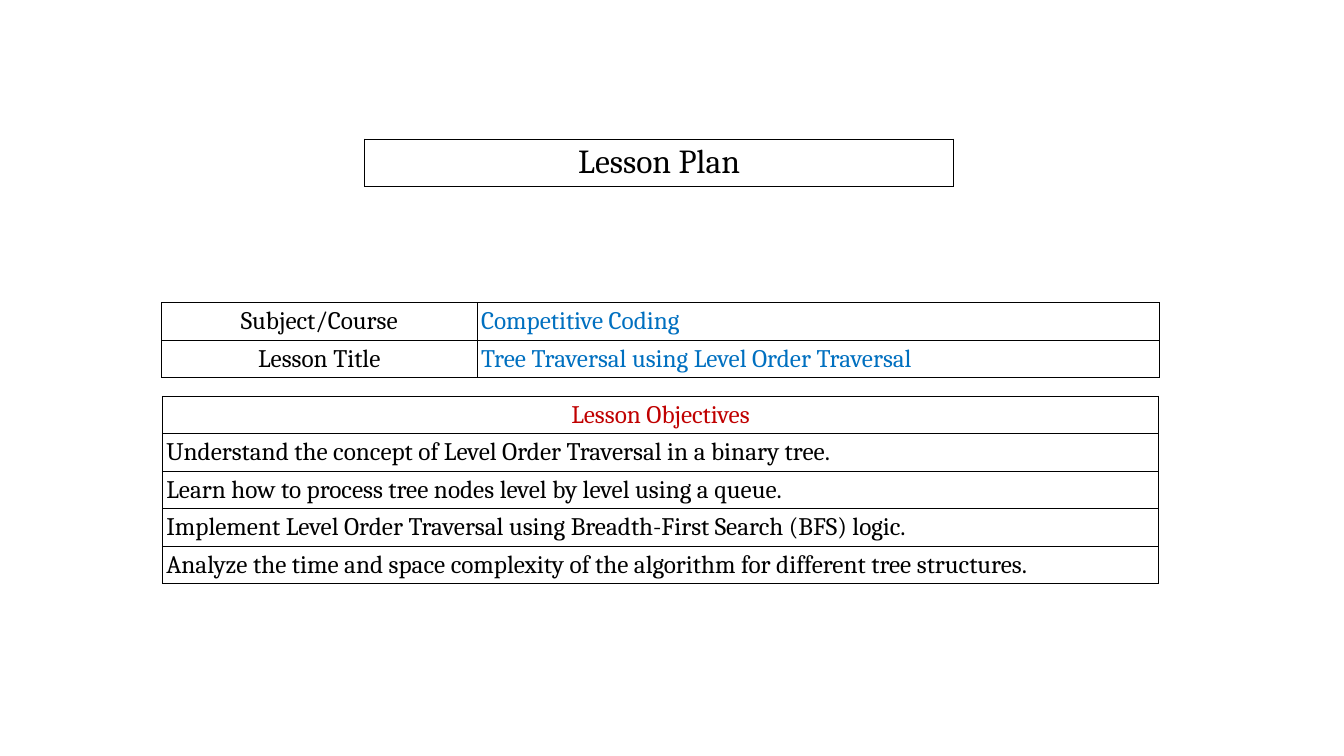
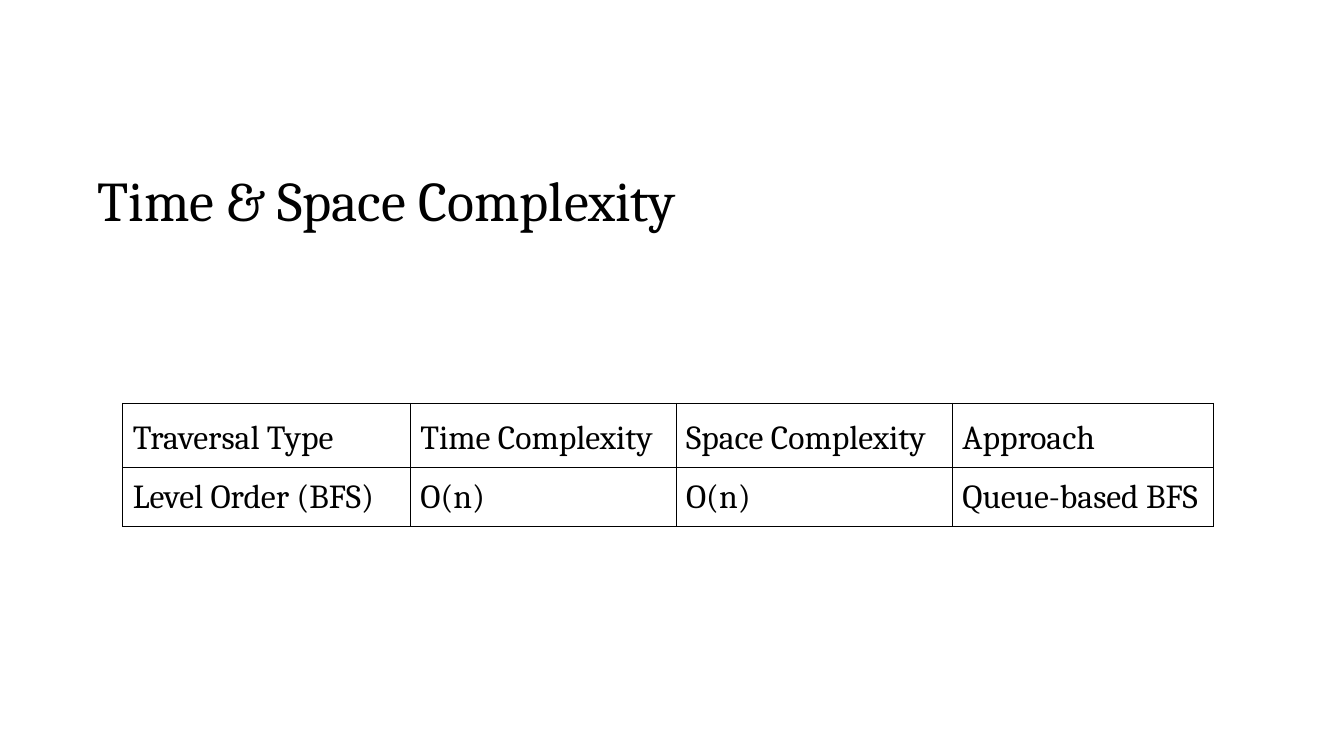
from lxml import etree
from pptx import Presentation
from pptx.dml.color import RGBColor
from pptx.enum.text import MSO_ANCHOR, MSO_AUTO_SIZE, PP_ALIGN
from pptx.oxml.ns import qn
from pptx.util import Pt

LEFT, CENTER = PP_ALIGN.LEFT, PP_ALIGN.CENTER
TOP, MIDDLE = MSO_ANCHOR.TOP, MSO_ANCHOR.MIDDLE
NO_AUTOFIT = MSO_AUTO_SIZE.NONE
TITLE_ONLY, BLANK = 5, 6
FONT = "Cambria"
FRAME_SIDE = 236.2
COLORS = {"text": "000000", "paper": "FFFFFF", "value": "0070C0", "heading": "C00000"}
OBJECTIVES = [
    "Understand the concept of Level Order Traversal in a binary tree.",
    "Learn how to process tree nodes level by level using a queue.",
    "Implement Level Order Traversal using Breadth-First Search (BFS) logic.",
    "Analyze the time and space complexity of the algorithm for different tree structures.",
]


def write(frame, text, size=18, color="text", align=LEFT, spacing=1.0):
    """Put one formatted paragraph into a text frame."""
    paragraph = frame.paragraphs[0]
    paragraph.alignment = align
    paragraph.line_spacing = spacing
    run = paragraph.add_run()
    run.text = text
    run.font.name = FONT
    run.font.size = Pt(size)
    run.font.bold = False
    run.font.color.rgb = RGBColor.from_string(COLORS[color])


def set_insets(target, inset):
    """Give a cell or text frame the same margin on all sides."""
    target.margin_left = target.margin_right = Pt(inset)
    target.margin_top = target.margin_bottom = Pt(inset)


def add_borders(cell):
    """Draw a thin line on every side of a cell."""
    properties = cell._tc.get_or_add_tcPr()
    for side in ("a:lnL", "a:lnR", "a:lnT", "a:lnB"):
        line = etree.SubElement(properties, qn(side), w=str(Pt(0.75)))
        fill = etree.SubElement(line, qn("a:solidFill"))
        etree.SubElement(fill, qn("a:srgbClr"), val=COLORS["text"])


def add_grid(slide, left, top, widths, heights, rows, inset=2.9, anchor=MIDDLE):
    """Add a ruled table whose rows hold (text, format) pairs."""
    holder = slide.shapes.add_table(
        len(heights), len(widths), Pt(left), Pt(top), Pt(FRAME_SIDE), Pt(FRAME_SIDE)
    )
    table = holder.table
    table.first_row = table.horz_banding = False
    for column, width in zip(table.columns, widths):
        column.width = Pt(width)
    for row, height, entries in zip(table.rows, heights, rows):
        row.height = Pt(height)
        for cell, (text, style) in zip(row.cells, entries):
            set_insets(cell, inset)
            cell.vertical_anchor = anchor
            add_borders(cell)
            cell.fill.solid()
            cell.fill.fore_color.rgb = RGBColor.from_string(COLORS["paper"])
            write(cell.text_frame, text, **style)
    holder.width = holder.height = Pt(FRAME_SIDE)


def add_title(slide, text):
    """Place and fill the title placeholder."""
    title = slide.shapes.title
    title.left, title.top, title.width, title.height = Pt(66), Pt(93), Pt(828), Pt(104.4)
    frame = title.text_frame
    frame.word_wrap = True
    frame.auto_size = NO_AUTOFIT
    frame.vertical_anchor = MIDDLE
    set_insets(frame, 3.6)
    write(frame, text, size=40, spacing=0.9)


def build_lesson_plan(slide):
    """Build the lesson plan with its subject and objectives."""
    label, value = {"align": CENTER}, {"color": "value"}
    add_grid(slide, 260.6, 99.4, [420.5], [33.5],
             [[("Lesson Plan", {"size": 24, "align": CENTER})]])
    add_grid(slide, 115.4, 216.1, [225.3, 487.4], [26.9] * 2, [
        [("Subject/Course", label), ("Competitive Coding", value)],
        [("Lesson Title", label), ("Tree Traversal using Level Order Traversal", value)],
    ])
    heading = ("Lesson Objectives", {"color": "heading", "align": CENTER})
    rows = [[heading]] + [[(objective, {})] for objective in OBJECTIVES]
    add_grid(slide, 115.9, 283, [711.8], [26.8] * len(rows), rows)


def build_complexity(slide):
    """Build the complexity slide."""
    add_title(slide, "Time & Space Complexity")
    headers = ["Traversal Type", "Time Complexity", "Space Complexity", "Approach"]
    values = ["Level Order (BFS)", "O(n)", "O(n)", "Queue-based BFS"]
    rows = [
        [(text, {"size": 24, "spacing": spacing}) for text in texts]
        for texts, spacing in ((headers, 1.15), (values, 1.0))
    ]
    add_grid(slide, 87.7, 288, [205.4, 189.8, 197.4, 186.6], [45.7, 42.1], rows,
             inset=7.2, anchor=TOP)


def main():
    """Build and save the presentation."""
    deck = Presentation()
    deck.slide_width, deck.slide_height = Pt(960), Pt(540)
    for layout, build in ((BLANK, build_lesson_plan), (TITLE_ONLY, build_complexity)):
        build(deck.slides.add_slide(deck.slide_layouts[layout]))
    deck.save("out.pptx")


if __name__ == "__main__":
    main()
